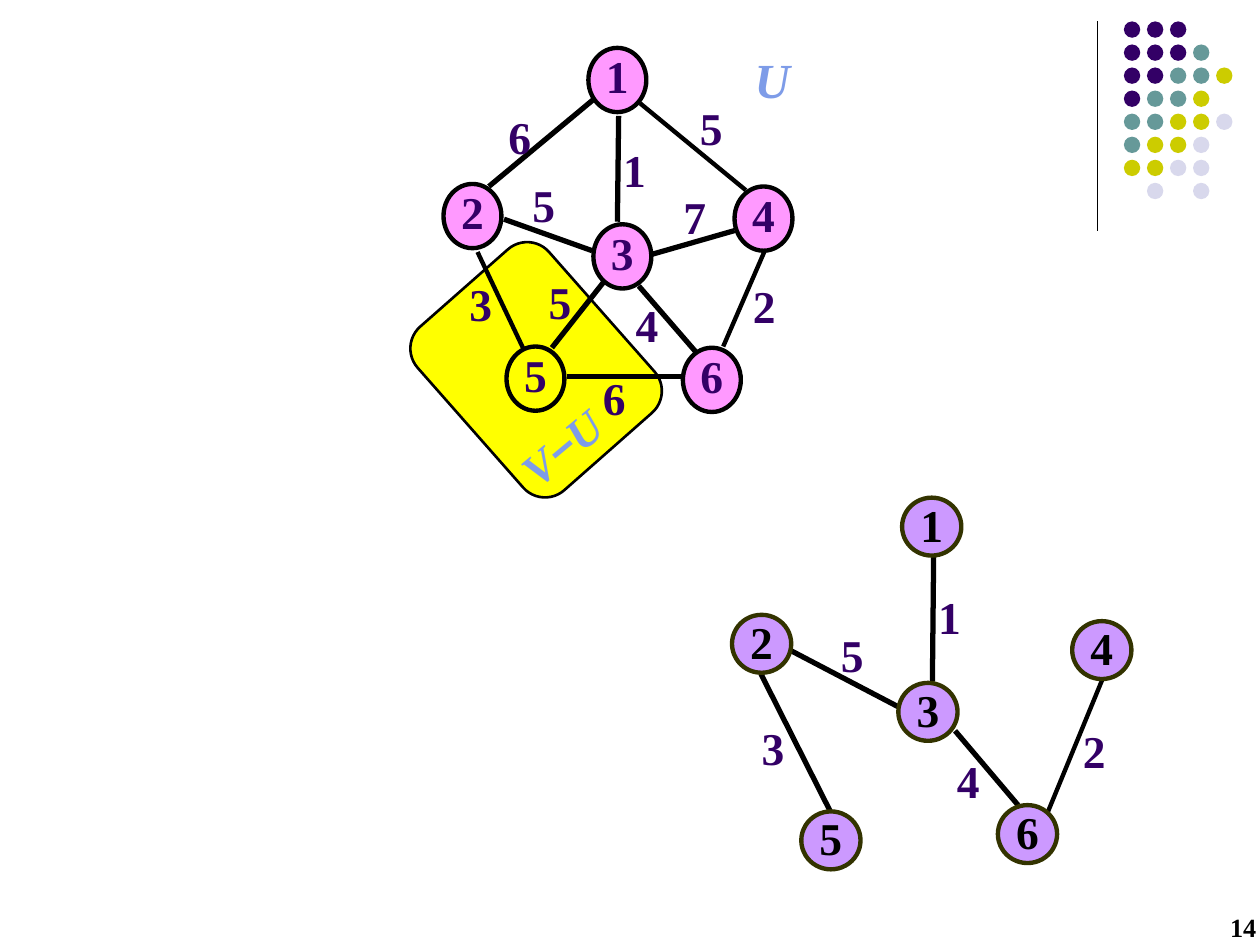
from lxml import etree
from pptx import Presentation
from pptx.dml.color import RGBColor
from pptx.enum.shapes import MSO_CONNECTOR, MSO_SHAPE
from pptx.enum.text import MSO_ANCHOR, PP_ALIGN
from pptx.oxml.ns import qn
from pptx.util import Inches, Pt

OVAL, ROUND = MSO_SHAPE.OVAL, MSO_SHAPE.ROUNDED_RECTANGLE
STRAIGHT = MSO_CONNECTOR.STRAIGHT
MIDDLE = MSO_ANCHOR.MIDDLE
CENTER, RIGHT = PP_ALIGN.CENTER, PP_ALIGN.RIGHT

COLORS = {
    "black": "000000", "purple": "330066", "teal": "669999", "lime": "CCCC00",
    "pale": "D8D8EC", "violet": "CC99FF", "olive": "333300", "pink": "FF99FF",
    "yellow": "FFFF00", "blue": "7E9CE8",
}
DOTS = {"P": "purple", "T": "teal", "Y": "lime", "L": "pale"}
DOT_ROWS = ["PPP", "PPPT", "PPTTY", "PTTY", "TTYYL", "TYYL", "YYLL", " L L"]

# All places are in columns and rows of a 100 by 75 grid.
# Nodes: name -> left, top. Edges: x1, y1, x2, y2, width. Labels: text, left, top.
TREE = {
    "nodes": {"1": (71.6, 39.5), "3": (71.3, 54.2), "6": (79.2, 63.9),
              "4": (85.1, 49.3), "2": (58.1, 48.8), "5": (63.6, 64.4)},
    "edges": [(74.1, 44.1, 74, 54.1, 3), (75.8, 58, 80.8, 63.9, 3),
              (87.5, 53.9, 83.1, 64.6, 2.5), (62.7, 51.6, 71.3, 56.1, 3),
              (60.4, 53.5, 65.9, 64.4, 3)],
    "labels": [("1", 73.7, 47.5), ("4", 75.2, 60.5), ("2", 85.2, 58.1),
               ("5", 66, 50.5), ("3", 59.7, 57.9)],
    "size": (4.7, 4.6), "fill": "violet", "line": "olive",
    "ink": "black", "lead": 28, "bare": "",
}
GRAPH = {
    "nodes": {"1": (46.7, 3.8), "2": (35.2, 14.6), "4": (58.3, 14.8),
              "3": (47.1, 17.8), "5": (40.2, 27.5), "6": (54.2, 27.6)},
    "edges": [(47.1, 7.9, 38.8, 14.8, 3), (50.8, 8.2, 59.2, 15.1, 2.5),
              (37.9, 20, 41.5, 27.6, 2.5), (45, 29.9, 54.2, 29.9, 3),
              (60.7, 19.9, 57.4, 27.5, 2.5), (49.1, 9.2, 49, 17.6, 3),
              (47.9, 22.4, 43.8, 27.6, 3), (50.7, 22.7, 55.2, 27.9, 3),
              (51.7, 20.2, 58.3, 18.3, 3), (40, 17.4, 47, 19.9, 3)],
    "labels": [("5", 54.8, 8.7), ("6", 39.6, 9.4), ("1", 48.7, 12),
               ("7", 53.5, 15.7), ("6", 47.1, 30.1), ("5", 41.5, 14.8),
               ("4", 49.7, 24.3), ("2", 59, 22.8), ("5", 42.8, 22.5),
               ("3", 36.5, 22.6)],
    "size": (4.6, 5.1), "fill": "pink", "line": "black",
    "ink": "purple", "lead": 26, "bare": "5",
}


def cells(*counts):
    return [Inches(count / 10) for count in counts]


def rgb(name):
    return RGBColor.from_string(COLORS[name])


class Board:
    """Holds the slide and the common text style."""
    face = "Times New Roman"
    size = 26

    def __init__(self, slide):
        self.slide = slide
        self.shapes = slide.shapes

    def letter(self, shape, parts, ink, lead=None, size=size, align=CENTER, slant=False):
        """Fill a shape with runs; the minus sign is set in Arial."""
        frame = shape.text_frame
        frame.word_wrap = True
        frame.vertical_anchor = MIDDLE
        frame.margin_left = frame.margin_right = 0
        frame.margin_top = frame.margin_bottom = 0
        line = frame.paragraphs[0]
        line.alignment = align
        if lead:
            line.line_spacing = Pt(lead)
        for part in parts:
            run = line.add_run()
            run.text = part
            font = run.font
            font.name = "Arial" if part == "−" else self.face
            font.size, font.bold, font.italic = Pt(size), True, slant
            font.color.rgb = rgb(ink)

    def text(self, parts, box, ink="purple", turn=0, **style):
        shape = self.shapes.add_textbox(*cells(*box))
        shape.rotation = turn
        self.letter(shape, parts, ink, **style)

    def shape(self, kind, box, fill=None, line=None, width=2.5):
        shape = self.shapes.add_shape(kind, *cells(*box))
        shape.shadow.inherit = False
        if fill:
            shape.fill.solid()
            shape.fill.fore_color.rgb = rgb(fill)
        else:
            shape.fill.background()
        if line:
            shape.line.color.rgb = rgb(line)
            shape.line.width = Pt(width)
        else:
            shape.line.fill.background()
        return shape

    def line(self, x1, y1, x2, y2, width):
        edge = self.shapes.add_connector(STRAIGHT, *cells(x1, y1, x2, y2))
        edge.line.color.rgb = rgb("black")
        edge.line.width = Pt(width)
        etree.SubElement(edge._element.spPr, qn("a:effectLst"))

    def dots(self, left, top, pitch, size):
        for row, marks in enumerate(DOT_ROWS):
            for col, mark in enumerate(marks):
                if mark in DOTS:
                    box = (left + col * pitch, top + row * pitch, size, size)
                    self.shape(OVAL, box, DOTS[mark])

    def graph(self, net):
        for edge in net["edges"]:
            self.line(*edge)
        for name, place in net["nodes"].items():
            fill = None if name == net["bare"] else net["fill"]
            node = self.shape(OVAL, (*place, *net["size"]), fill, net["line"])
            self.letter(node, [name], net["ink"], net["lead"])
        for name, left, top in net["labels"]:
            self.text([name], (left, top, 3.3, 3.6), lead=26)


def main():
    deck = Presentation()
    deck.slide_width, deck.slide_height = cells(100, 75)
    board = Board(deck.slides.add_slide(deck.slide_layouts[6]))

    board.line(87.1, 1.7, 87.1, 18.3, 0.75)
    board.dots(89.2, 1.7, 1.83, 1.3)
    board.text(["14"], (96.9, 72.1, 2.8, 2.9), "black", size=15, align=RIGHT)

    board.graph(TREE)
    rest = board.shape(ROUND, (35.6, 20.7, 13.9, 17.3), "yellow", "black", 1.5)
    rest.rotation = 318.6
    board.text(["U"], (58.3, 4.3, 6, 4.8), "blue", lead=27, size=28, slant=True)
    board.text(["V", "−", "U"], (40.7, 33.7, 7.9, 3.9), "blue", 320.1, lead=28, slant=True)
    board.graph(GRAPH)

    deck.save("out.pptx")


if __name__ == "__main__":
    main()
